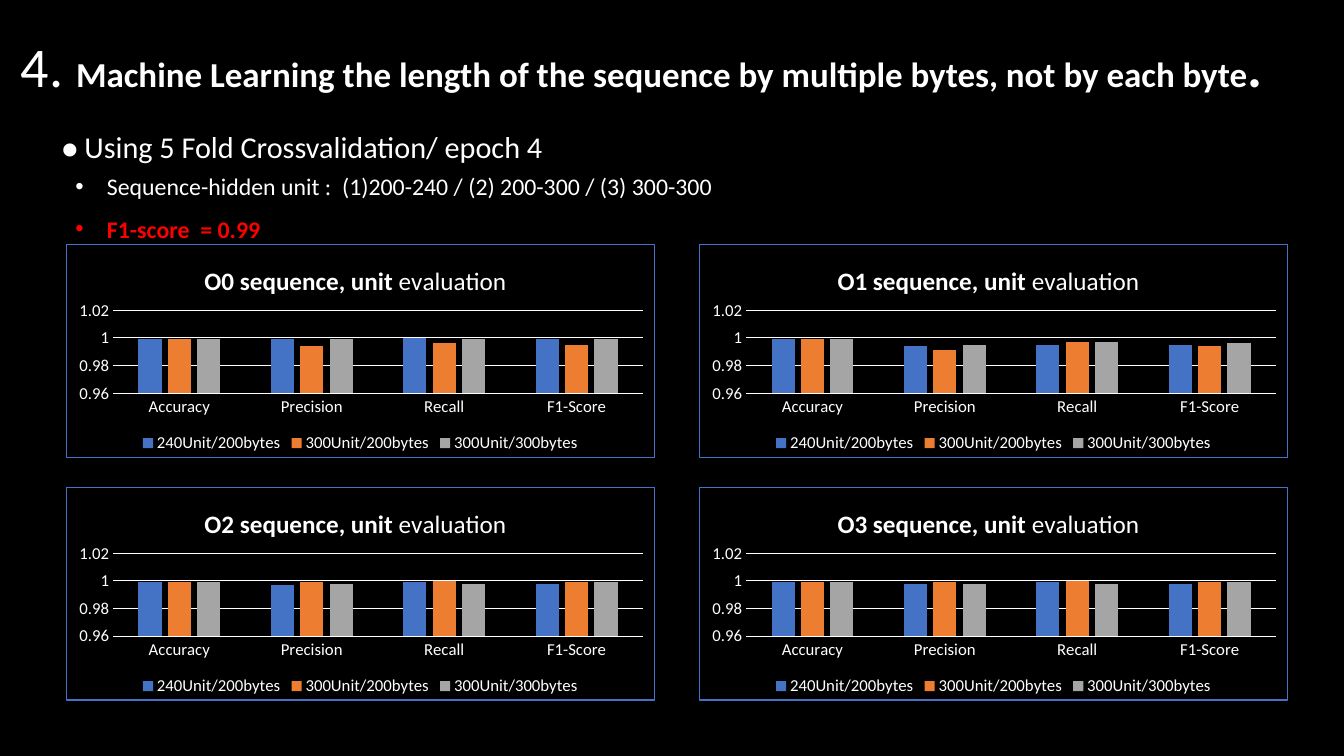
import pptx
import pptx.chart.data
import pptx.dml.color
import pptx.enum.chart
import pptx.enum.text
import pptx.oxml
import pptx.oxml.ns
import pptx.util
from pptx.util import Pt

FONT = "Calibri"
COLORS = {"background": "000000", "text": "FFFFFF", "highlight": "FF0000", "border": "4472C4"}

HEADING = [  # text, size, bold
    ("4. ", 40, False),
    ("Machine Learning the length of the sequence by multiple bytes, not by each byte", 25, True),
    (".", 40, True),
]
TITLE = [("⦁ Using 5 Fold Crossvalidation/ epoch 4", 21.6, False)]
BULLETS = [  # text, bold, color
    ("Sequence-hidden unit :  (1)200-240 / (2) 200-300 / (3) 300-300", False, "text"),
    ("F1-score  = 0.99", True, "highlight"),
]
CATEGORIES = ["Accuracy", "Precision", "Recall", "F1-Score"]
SERIES = [("240Unit/200bytes", "4472C4"), ("300Unit/200bytes", "ED7D31"), ("300Unit/300bytes", "A5A5A5")]
CHARTS = {
    "O0": [(0.999, 0.999, 1, 0.999), (0.999, 0.994, 0.996, 0.995), (0.999, 0.999, 0.999, 0.999)],
    "O1": [(0.999, 0.994, 0.995, 0.995), (0.999, 0.991, 0.997, 0.994), (0.999, 0.995, 0.997, 0.996)],
    "O2": [(0.999, 0.997, 0.999, 0.998), (0.999, 0.999, 1, 0.999), (0.999, 0.998, 0.998, 0.999)],
    "O3": [(0.999, 0.998, 0.999, 0.998), (0.999, 0.999, 1, 0.999), (0.999, 0.998, 0.998, 0.999)],
}
CHART_LEFT, CHART_TOP, CHART_WIDTH, CHART_HEIGHT = 46.8, 174.3, 421.2, 152.6
COLUMN_STEP, ROW_STEP = 452.2, 173.5
PLOT_LAYOUT = {"x": 0.08, "y": 0.31, "w": 0.9, "h": 0.39}
TITLE_LAYOUT = {"x": 0.23, "y": 0.08}


def rgb(color):
    return pptx.dml.color.RGBColor.from_string(color)


def style_font(font, size, bold=False, color="text"):
    font.name, font.size, font.bold = FONT, Pt(size), bold
    font.color.rgb = rgb(COLORS[color])


def add_runs(paragraph, runs):
    for text, size, bold in runs:
        run = paragraph.add_run()
        run.text = text
        style_font(run.font, size, bold)


def add_text_box(slide, left, top, width, height):
    text_frame = slide.shapes.add_textbox(Pt(left), Pt(top), Pt(width), Pt(height)).text_frame
    text_frame.word_wrap = True
    return text_frame


def add_bullet(paragraph):
    properties = paragraph._p.get_or_add_pPr()
    properties.set("marL", str(Pt(22.5)))
    properties.set("indent", str(-Pt(22.5)))
    namespace = pptx.oxml.ns.nsdecls("a")
    properties.append(pptx.oxml.parse_xml(f'<a:buFont {namespace} typeface="Arial"/>'))
    properties.append(pptx.oxml.parse_xml(f'<a:buChar {namespace} char="•"/>'))


def set_layout(element, index, layout):
    """Place a chart part by fractions of the chart; index is the layout's place among the children."""
    for old_layout in element.findall(pptx.oxml.ns.qn("c:layout")):
        element.remove(old_layout)
    modes = '<c:xMode val="edge"/><c:yMode val="edge"/>'
    values = "".join(f'<c:{key} val="{value}"/>' for key, value in layout.items())
    target = '<c:layoutTarget val="inner"/>' if "w" in layout else ""
    element.insert(index, pptx.oxml.parse_xml(
        f'<c:layout {pptx.oxml.ns.nsdecls("c")}><c:manualLayout>{target}{modes}{values}'
        "</c:manualLayout></c:layout>"))


def style_line(line, color="text"):
    line.color.rgb = rgb(COLORS[color])
    line.width = Pt(0.75)


def style_axes(chart):
    for axis in (chart.category_axis, chart.value_axis):
        axis.major_tick_mark = axis.minor_tick_mark = pptx.enum.chart.XL_TICK_MARK.NONE
        style_font(axis.tick_labels.font, 12)
    style_line(chart.category_axis.format.line)
    value_axis = chart.value_axis
    value_axis.format.line.fill.background()
    value_axis.minimum_scale, value_axis.maximum_scale, value_axis.major_unit = 0.96, 1.02, 0.02
    style_line(value_axis.major_gridlines.format.line)


def add_score_chart(slide, name, values, left, top):
    data = pptx.chart.data.CategoryChartData()
    data.categories = CATEGORIES
    for (series_name, _), scores in zip(SERIES, values):
        data.add_series(series_name, scores)
    chart = slide.shapes.add_chart(
        pptx.enum.chart.XL_CHART_TYPE.COLUMN_CLUSTERED,
        Pt(left), Pt(top), Pt(CHART_WIDTH), Pt(CHART_HEIGHT), data).chart
    style_font(chart.font, 10)
    style_axes(chart)

    plot = chart.plots[0]
    plot.vary_by_categories = False
    plot.gap_width, plot.overlap = 219, -27
    for series, (_, color) in zip(plot.series, SERIES):
        series.format.fill.solid()
        series.format.fill.fore_color.rgb = rgb(color)

    chart.has_title = True
    title_runs = [(f"{name} sequence, unit", 18, True), (" evaluation", 18, False)]
    add_runs(chart.chart_title.text_frame.paragraphs[0], title_runs)
    chart.has_legend = True
    chart.legend.position = pptx.enum.chart.XL_LEGEND_POSITION.BOTTOM
    chart.legend.include_in_layout = False
    style_font(chart.legend.font, 12)

    chart_element = chart._chartSpace.find(pptx.oxml.ns.qn("c:chart"))
    set_layout(chart_element.find(pptx.oxml.ns.qn("c:title")), 1, TITLE_LAYOUT)
    set_layout(chart_element.find(pptx.oxml.ns.qn("c:plotArea")), 0, PLOT_LAYOUT)
    chart_element.addnext(pptx.oxml.parse_xml(
        f'<c:spPr {pptx.oxml.ns.nsdecls("c", "a")}><a:noFill/><a:ln w="{Pt(0.75)}"><a:solidFill>'
        f'<a:srgbClr val="{COLORS["border"]}"/></a:solidFill></a:ln></c:spPr>'))


def main():
    presentation = pptx.Presentation()
    presentation.slide_width, presentation.slide_height = Pt(960), Pt(540)
    slide = presentation.slides.add_slide(presentation.slide_layouts[5])
    slide.background.fill.solid()
    slide.background.fill.fore_color.rgb = rgb(COLORS["background"])

    title = slide.shapes.title
    title.left, title.top, title.width, title.height = Pt(37.4), Pt(74.9), Pt(922), Pt(63.4)
    title.text_frame.vertical_anchor = pptx.enum.text.MSO_ANCHOR.TOP
    title.text_frame.word_wrap = True
    paragraph = title.text_frame.paragraphs[0]
    paragraph.alignment = pptx.enum.text.PP_ALIGN.LEFT
    paragraph.line_spacing = 1.5
    add_runs(paragraph, TITLE)

    add_runs(add_text_box(slide, 7.9, 18.7, 943, 55.4).paragraphs[0], HEADING)

    bullet_frame = add_text_box(slide, 46.8, 108.7, 674.6, 65.5)
    bullet_frame.text = "\n".join(text for text, _, _ in BULLETS)
    for paragraph, (_, bold, color) in zip(bullet_frame.paragraphs, BULLETS):
        paragraph.line_spacing = 1.5
        add_bullet(paragraph)
        style_font(paragraph.runs[0].font, 17, bold, color)

    for index, (name, values) in enumerate(CHARTS.items()):
        row, column = divmod(index, 2)
        add_score_chart(slide, name, values, CHART_LEFT + column * COLUMN_STEP, CHART_TOP + row * ROW_STEP)

    presentation.save("out.pptx")


if __name__ == "__main__":
    main()
